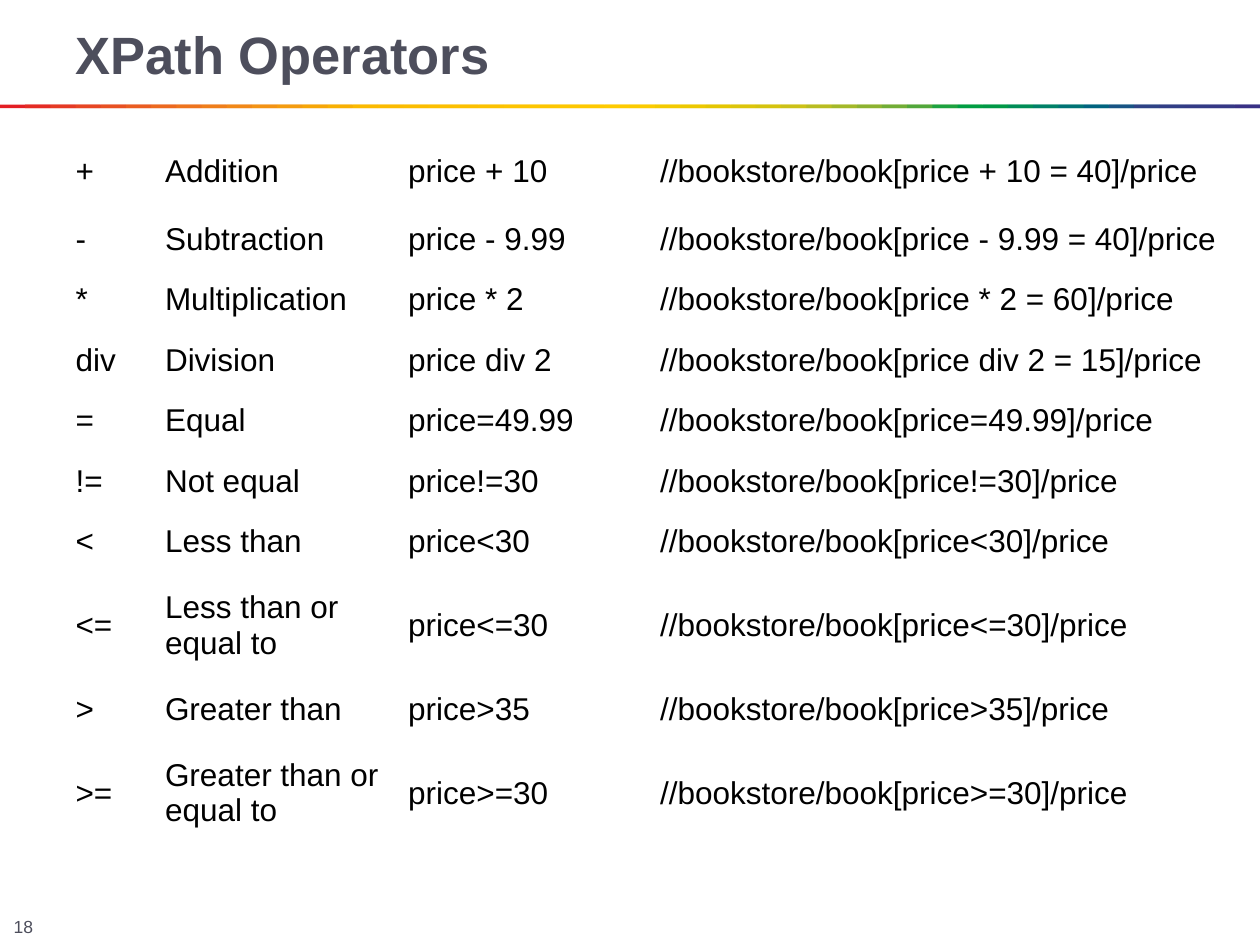
from lxml.etree import SubElement
from pptx import Presentation
from pptx.dml.color import RGBColor
from pptx.enum.shapes import MSO_SHAPE
from pptx.enum.text import MSO_ANCHOR, PP_ALIGN
from pptx.oxml.ns import qn
from pptx.util import Inches, Pt

FONT, GREY, BLACK, WHITE = "Arial", "4D4E5C", "000000", "FFFFFF"

RAINBOW = """
E31E24 E42C24 E53A24 E74623 E85122 EA5D21 EC691F EE741D EF7E1A F18817
F39314 F49C0F F6A607 F8B002 FBBA00 FBBB00 FBBD00 FCBF00 FCC000 FCC200
FDC400 FDC600 FDC700 FEC900 FECB00 FBCB00 F3CA00 ECC800 E4C602 DCC50A
D5C30E CCC117 B8BC21 A3B829 8CB230 71AD36 51A73B 1DA240 009D43 009846
008C57 008068 007275 00637F 185384 2E4285 313E85 333B85 353885 393185
""".split()

COL_WIDTHS = [0.71, 1.93, 2, 4.72]
FIRST_ROW, ONE_LINE, TWO_LINES = 0.59, 0.48, 0.85

# Operator, meaning, example; the path puts the condition in brackets
OPERATORS = [
    ("+", "Addition", "price + 10", " = 40"),
    ("-", "Subtraction", "price - 9.99", " = 40"),
    ("*", "Multiplication", "price * 2", " = 60"),
    ("div", "Division", "price div 2", " = 15"),
    ("=", "Equal", "price=49.99", ""),
    ("!=", "Not equal", "price!=30", ""),
    ("<", "Less than", "price<30", ""),
    ("<=", "Less than or equal to", "price<=30", ""),
    (">", "Greater than", "price>35", ""),
    (">=", "Greater than or equal to", "price>=30", ""),
]


def rgb(value):
    return RGBColor.from_string(value)


def box(left, top, width, height):
    return [Inches(v) for v in (left, top, width, height)]


def set_text(tf, text, size, color, bold=False):
    tf.text = text
    tf.vertical_anchor = MSO_ANCHOR.MIDDLE
    p = tf.paragraphs[0]
    p.alignment = PP_ALIGN.LEFT
    for r in p.runs:
        r.font.name, r.font.size, r.font.bold = FONT, Pt(size), bold
        r.font.color.rgb = rgb(color)


def add_title(slide, text):
    title = slide.shapes.title
    title.left, title.top, title.width, title.height = box(0.5, 0.12, 9, 0.61)
    set_text(title.text_frame, text, 30, GREY, bold=True)


def add_page_number(slide, number):
    tf = slide.shapes.add_textbox(*box(0.01, 7.27, 0.39, 0.16)).text_frame
    tf.word_wrap = True
    tf.margin_top = tf.margin_bottom = 0
    set_text(tf, number, 10, GREY)


def add_rainbow(slide, width):
    """Overlapping strips, each covering half of the one before."""
    group = slide.shapes.add_group_shape()
    step = width / len(RAINBOW)
    for i, color in enumerate(RAINBOW):
        left = i * step
        strip = min(2 * step, width - left)
        sp = group.shapes.add_shape(MSO_SHAPE.RECTANGLE,
                                    *box(left, 0.83, strip, 0.03))
        sp.shadow.inherit = False
        sp.fill.solid()
        sp.fill.fore_color.rgb = rgb(color)
        sp.line.fill.background()


def set_borders(cell, bottom):
    tcPr = cell._tc.get_or_add_tcPr()
    for side, pt in zip("LRTB", (0.96, 0.96, 0.96, bottom)):
        ln = SubElement(tcPr, qn(f"a:ln{side}"), w=str(Pt(pt)))
        fill = SubElement(ln, qn("a:solidFill"))
        SubElement(fill, qn("a:srgbClr"), val=WHITE)


def row_height(index, meaning):
    if index == 0:
        return FIRST_ROW
    return TWO_LINES if "equal to" in meaning else ONE_LINE


def add_operator_table(slide):
    heights = [row_height(i, op[1]) for i, op in enumerate(OPERATORS)]
    table = slide.shapes.add_table(
        len(OPERATORS), len(COL_WIDTHS),
        *box(0.5, 1.07, sum(COL_WIDTHS), sum(heights))).table
    table.first_row = table.horz_banding = False
    for col, width in zip(table.columns, COL_WIDTHS):
        col.width = Inches(width)
    for i, (symbol, meaning, example, result) in enumerate(OPERATORS):
        table.rows[i].height = Inches(heights[i])
        path_text = f"//bookstore/book[{example}{result}]/price"
        texts = (symbol, meaning, example, path_text)
        for cell, text in zip(table.rows[i].cells, texts):
            set_text(cell.text_frame, text, 18, BLACK)
            cell.vertical_anchor = MSO_ANCHOR.MIDDLE
            set_borders(cell, bottom=3 if i == 0 else 0.96)
            cell.fill.background()


def main():
    prs = Presentation()
    prs.slide_width, prs.slide_height = Inches(10), Inches(7.5)
    slide = prs.slides.add_slide(prs.slide_layouts[5])  # Title Only
    add_page_number(slide, "18")
    add_rainbow(slide, 10)
    add_title(slide, "XPath Operators")
    add_operator_table(slide)
    prs.save("out.pptx")


if __name__ == "__main__":
    main()
